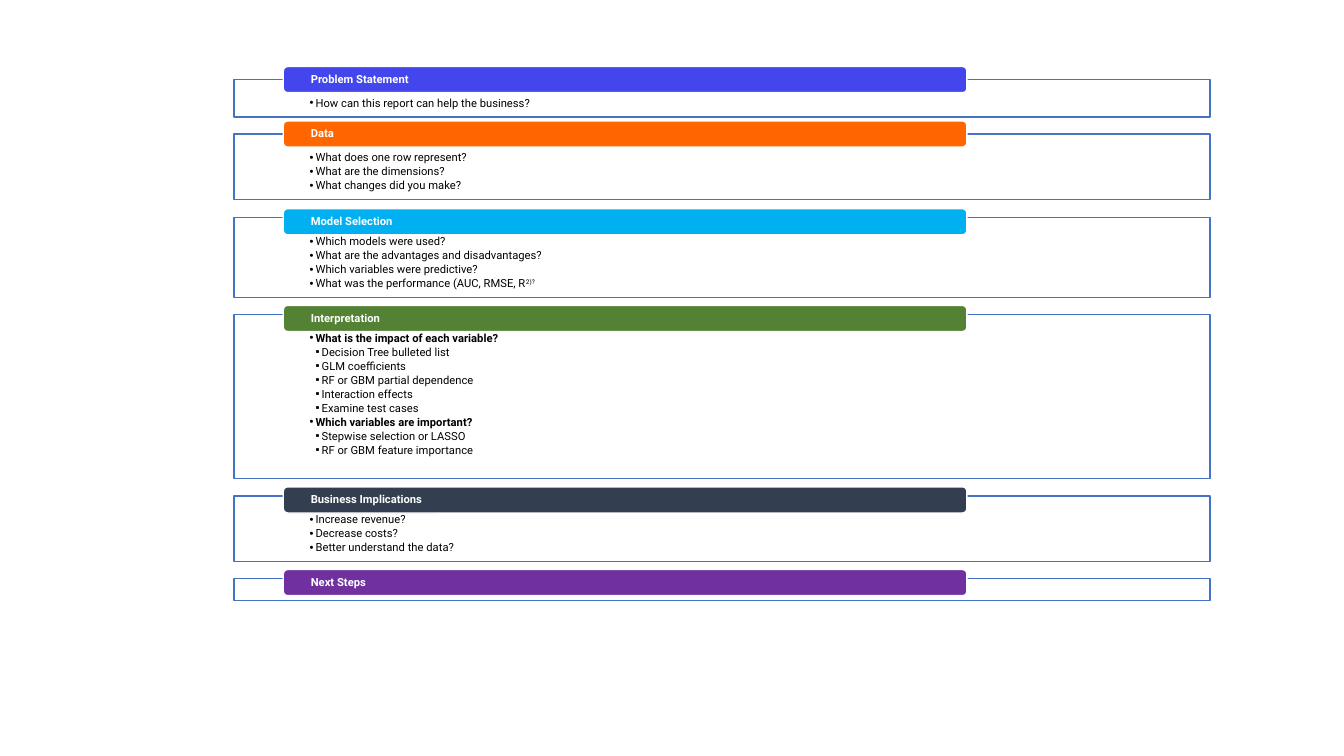
from lxml import etree
from pptx import Presentation
from pptx import util as u
from pptx.dml.color import RGBColor
from pptx.enum import shapes, text
from pptx.oxml.ns import qn

FONT = "Roboto"
SIZE = 8

# title, colour, tab top, box top, box height, items as (level, runs)
PARTS = [
    ("Problem Statement", "4246EC", 0.66, 0.79, 0.37, [
        (1, ["How can this report can help the business?"])]),
    ("Data", "FF6600", 1.2, 1.33, 0.65, [
        (1, ["What does one row represent?"]),
        (1, ["What are the dimensions?"]),
        (1, ["What changes did you make?"])]),
    ("Model Selection", "00B0F0", 2.07, 2.16, 0.79, [
        (1, ["Which models were used?"]),
        (1, ["What are the advantages and disadvantages?"]),
        (1, ["Which variables were predictive?"]),
        (1, ["What was the performance (AUC, RMSE, R", "2)?"])]),
    ("Interpretation", "548235", 3.03, 3.12, 1.63, [
        (1, ["What is the impact of each variable?"]),
        (2, ["Decision Tree bulleted list"]),
        (2, ["GLM coefficients"]),
        (2, ["RF or GBM partial dependence"]),
        (2, ["Interaction effects"]),
        (2, ["Examine test cases"]),
        (1, ["Which variables are important?"]),
        (2, ["Stepwise selection or LASSO"]),
        (2, ["RF or GBM feature importance"])]),
    ("Business Implications", "333F50", 4.83, 4.92, 0.65, [
        (1, ["Increase revenue?"]),
        (1, ["Decrease costs?"]),
        (1, ["Better understand the data?"])]),
    ("Next Steps", "7030A0", 5.65, 5.74, 0.22, []),
]


def paint(color, hue):
    color.rgb = RGBColor.from_string(hue)


def add_box(slide, kind, at, fill, line, pad):
    """Add a filled shape; pad holds the left/right, top and bottom insets."""
    box = slide.shapes.add_shape(kind, *map(u.Inches, at))
    box.shadow.inherit = False
    box.fill.solid()
    paint(box.fill.fore_color, fill)
    paint(box.line.color, line)
    box.line.width = u.Pt(1)
    frame = box.text_frame
    frame.word_wrap = True
    side, top, base = map(u.Inches, pad)
    frame.margin_left = frame.margin_right = side
    frame.margin_top, frame.margin_bottom = top, base
    return box


def fade(box, share):
    """Set the opacity of a solid fill, in percent."""
    hue = box.fill._xPr.find(qn("a:solidFill"))[0]
    etree.SubElement(hue, qn("a:alpha"), val=str(share * 1000))


def add_run(para, words, hue, bold=False, raised=False):
    run = para.add_run()
    run.text = words
    font = run.font
    font.name, font.size, font.bold = FONT, u.Pt(SIZE), bold
    paint(font.color, hue)
    if raised:
        font._element.set("baseline", "30000")


def set_para(para, after):
    para.alignment = text.PP_ALIGN.LEFT
    para.line_spacing = 0.9
    para.space_after = u.Pt(after)


def add_mark(para, level):
    """Give a paragraph its bullet and hanging indent."""
    para.level = level
    props = para._p.get_or_add_pPr()
    step = u.Inches(0.06)
    props.set("marL", str(step * level))
    props.set("indent", str(-step))
    etree.SubElement(props, qn("a:buFont"), typeface="Arial")
    etree.SubElement(props, qn("a:buChar"), char="•" if level == 1 else "▪")


def add_list(frame, items):
    frame.vertical_anchor = text.MSO_ANCHOR.TOP
    nested = any(level == 2 for level, _ in items)
    for i, (level, runs) in enumerate(items):
        para = frame.add_paragraph() if i else frame.paragraphs[0]
        set_para(para, 1.4)
        add_mark(para, level)
        for j, words in enumerate(runs):
            add_run(para, words, "000000", nested and level == 1, j > 0)


def add_part(slide, title, hue, tab_top, top, height, items):
    kinds = shapes.MSO_SHAPE
    box = add_box(slide, kinds.RECTANGLE, (2.32, top, 9.68, height),
                  "FFFFFF", "4472C4", (0.75, 0.18, 0.06))
    fade(box, 90)
    if items:
        add_list(box.text_frame, items)
    tab = add_box(slide, kinds.ROUNDED_RECTANGLE, (2.81, tab_top, 6.78, 0.26),
                  hue, "FFFFFF", (0.26, 0, 0))
    tab.text_frame.vertical_anchor = text.MSO_ANCHOR.MIDDLE
    para = tab.text_frame.paragraphs[0]
    set_para(para, 0)
    add_run(para, title, "FFFFFF", True)


def main():
    deck = Presentation()
    deck.slide_width, deck.slide_height = u.Inches(13.33), u.Inches(7.5)
    slide = deck.slides.add_slide(deck.slide_layouts[6])
    for part in PARTS:
        add_part(slide, *part)
    deck.save("out.pptx")


if __name__ == "__main__":
    main()
